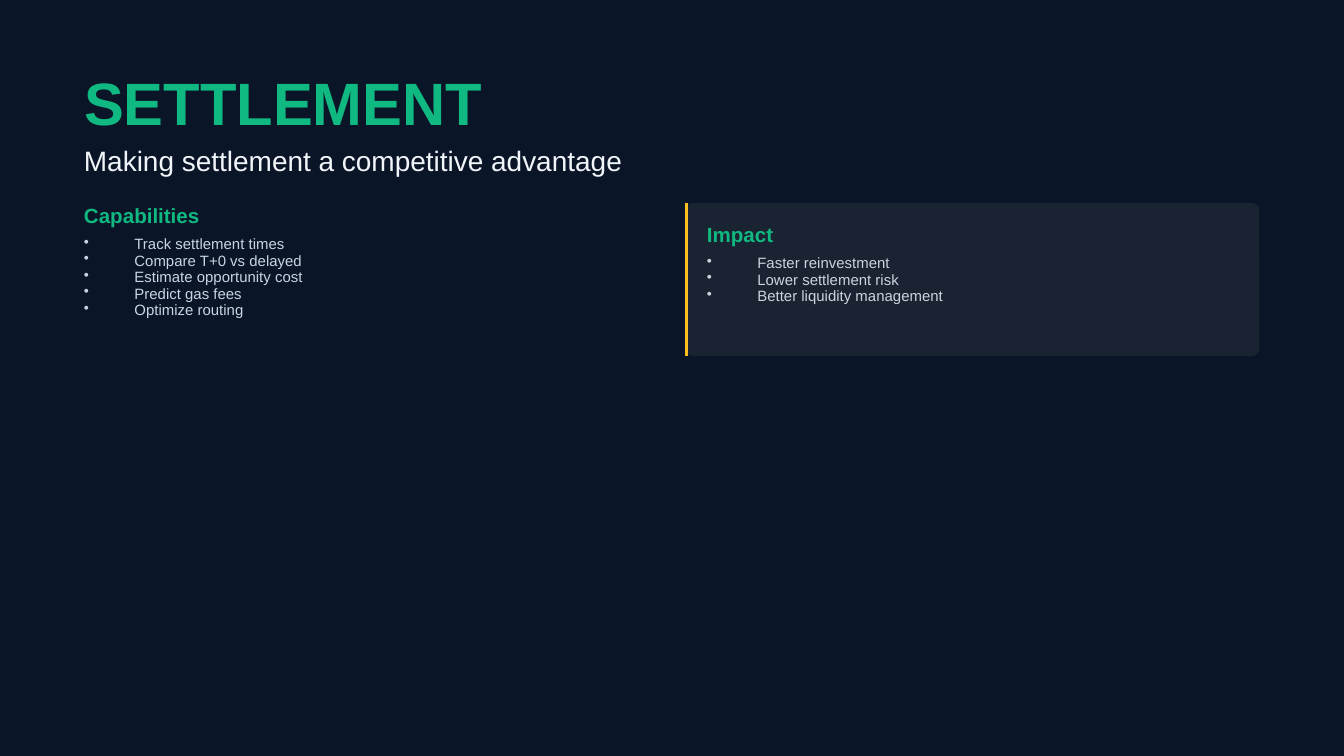
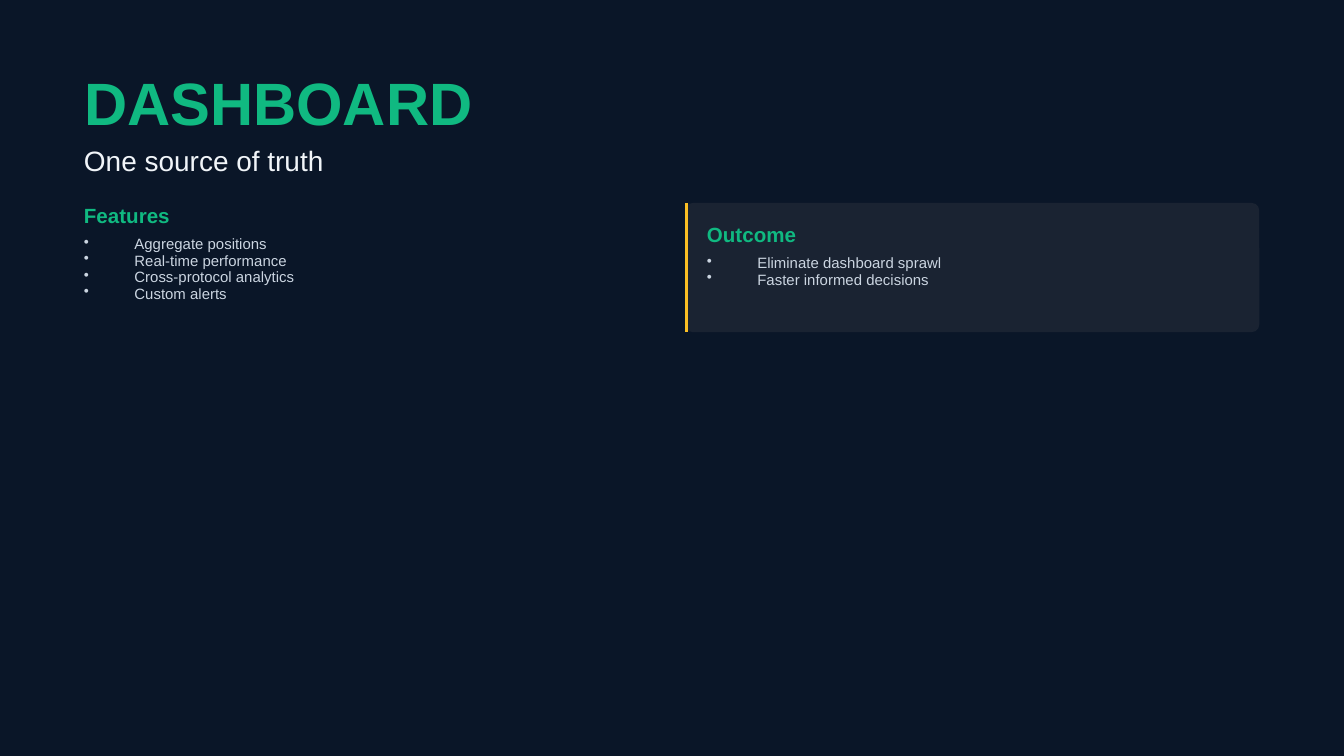
from lxml.etree import SubElement
from pptx import Presentation
from pptx.dml.color import RGBColor
from pptx.enum.shapes import MSO_CONNECTOR, MSO_SHAPE
from pptx.enum.text import MSO_ANCHOR, MSO_AUTO_SIZE, PP_ALIGN
from pptx.oxml.ns import qn
from pptx.util import Inches, Pt

COLUMNS = 100
NAVY, PANEL, GREEN, AMBER = "0A1628", "1A2332", "10B981", "FBBF24"
WHITE, SILVER = "F1F5F9", "CBD5E1"
LEFT, CARD_LEFT, COLUMN_WIDTH = 6.25, 51, 42.7
BODY_TOP, HEADING_STEP, ITEM_HEIGHT = 15.1, 2.5, 1.78
PADDING_X, PADDING_Y, CORNER = 1.6, 1.4, 0.56

PAGES = [
    ("SETTLEMENT", "Making settlement a competitive advantage",
     "Capabilities",
     ["Track settlement times", "Compare T+0 vs delayed", "Estimate opportunity cost",
      "Predict gas fees", "Optimize routing"],
     "Impact",
     ["Faster reinvestment", "Lower settlement risk", "Better liquidity management"]),
    ("DASHBOARD", "One source of truth",
     "Features",
     ["Aggregate positions", "Real-time performance", "Cross-protocol analytics",
      "Custom alerts"],
     "Outcome",
     ["Eliminate dashboard sprawl", "Faster informed decisions"]),
]


def color(value):
    return RGBColor.from_string(value)


class Builder:
    font = "Arial"

    def __init__(self):
        self.deck = Presentation()
        self.deck.slide_width = Inches(10)
        self.deck.slide_height = Inches(5.625)
        self.page = None

    def grid(self, *cells):
        return [round(cell * self.deck.slide_width / COLUMNS) for cell in cells]

    def new_page(self):
        self.page = self.deck.slides.add_slide(self.deck.slide_layouts[5])
        self.page.background.fill.solid()
        self.page.background.fill.fore_color.rgb = color(NAVY)

    def fill_text(self, box, lines, size, ink, bold=False, after=0):
        frame = box.text_frame
        frame.text = "\n".join(lines)
        frame.word_wrap = True
        frame.auto_size = MSO_AUTO_SIZE.NONE
        frame.vertical_anchor = MSO_ANCHOR.TOP
        frame.margin_left = frame.margin_right = 0
        frame.margin_top = frame.margin_bottom = 0
        for para in frame.paragraphs:
            para.alignment = PP_ALIGN.LEFT
            para.space_after = Pt(after)
            for span in para.runs:
                span.font.name = self.font
                span.font.size = Pt(size)
                span.font.bold = bold
                span.font.color.rgb = color(ink)

    def title(self, text):
        box = self.page.shapes.title
        box.left, box.top, box.width, box.height = self.grid(LEFT, 4.9, 89.3, 5.1)
        self.fill_text(box, [text], 32, GREEN, bold=True, after=5)

    def text(self, cells, lines, size, ink, **style):
        box = self.page.shapes.add_textbox(*self.grid(*cells))
        self.fill_text(box, lines, size, ink, **style)
        return box

    def bullets(self, left, top, width, items):
        cells = (left, top, width, len(items) * ITEM_HEIGHT)
        box = self.text(cells, items, 8, SILVER)
        for para in box.text_frame.paragraphs:
            properties = para._p.get_or_add_pPr()
            properties.set("marL", str(Inches(0.375)))
            properties.set("indent", str(Inches(-0.375)))
            SubElement(properties, qn("a:buChar")).set("char", "•")
            para.line_spacing = Pt(8.8)

    def section(self, left, top, width, heading, items):
        self.text((left, top, width, 1.7), [heading], 11, GREEN, bold=True, after=6)
        self.bullets(left, top + HEADING_STEP, width, items)

    def card(self, left, top, width, height):
        panel = self.page.shapes.add_shape(
            MSO_SHAPE.ROUNDED_RECTANGLE, *self.grid(left, top, width, height))
        panel.adjustments[0] = CORNER / height
        panel.shadow.inherit = False
        panel.fill.solid()
        panel.fill.fore_color.rgb = color(PANEL)
        panel.line.fill.background()
        self.rule(left + 0.1, top, height)

    def rule(self, left, top, height):
        line = self.page.shapes.add_connector(
            MSO_CONNECTOR.STRAIGHT, *self.grid(left, top, left, top + height))
        line.line.color.rgb = color(AMBER)
        line.line.width = Pt(1.5)
        SubElement(line._element.spPr, qn("a:effectLst"))


def main():
    builder = Builder()
    for title, subtitle, heading, items, card_heading, card_items in PAGES:
        builder.new_page()
        builder.title(title)
        builder.text((LEFT, 10.7, 89.3, 2.4), [subtitle], 15, WHITE, after=15)
        builder.section(LEFT, BODY_TOP, COLUMN_WIDTH, heading, items)
        card_height = HEADING_STEP + len(items) * ITEM_HEIGHT
        builder.card(CARD_LEFT, BODY_TOP, COLUMN_WIDTH, card_height)
        builder.section(CARD_LEFT + PADDING_X, BODY_TOP + PADDING_Y,
                        COLUMN_WIDTH - 2 * PADDING_X, card_heading, card_items)
    builder.deck.save("out.pptx")


if __name__ == "__main__":
    main()
